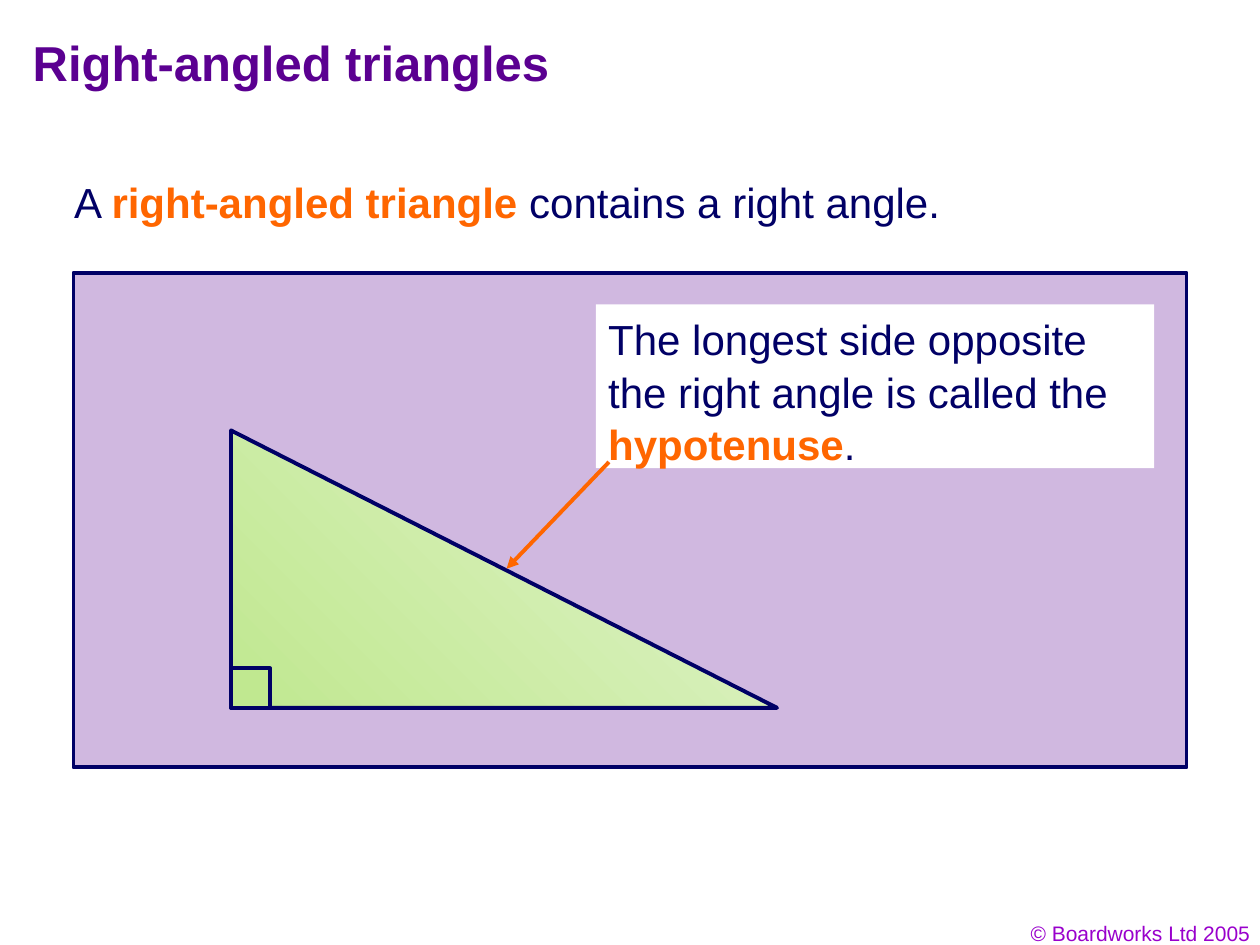
"""Build a slide that names the hypotenuse of a right-angled triangle."""
from typing import NamedTuple

from lxml.etree import SubElement
from pptx import Presentation
from pptx.dml.color import RGBColor as RGB
from pptx.enum.shapes import MSO_CONNECTOR as CONN, MSO_SHAPE as SHAPE
from pptx.enum.text import MSO_ANCHOR as ANCHOR, PP_ALIGN as ALIGN
from pptx.oxml.ns import qn
from pptx.util import Pt

COLORS = {
    "title": "5B0091",
    "footer": "9900CC",
    "text": "010066",
    "outline": "000066",
    "accent": "FF6600",
    "panel": "D0B8E0",
    "light_green": "E2F3CD",
    "green": "C0E890",
    "white": "FFFFFF",
}
LINE_WIDTH = 2.25


class Box(NamedTuple):
    left: float
    top: float
    width: float
    height: float

    def lengths(self) -> list:
        return [Pt(v) for v in self]


class Run(NamedTuple):
    text: str
    key: bool = False


def rgb(name: str) -> RGB:
    return RGB.from_string(COLORS[name])


def write(sp, *runs: Run, size: float = 24, color: str = "text", bold: bool = False,
          align=ALIGN.LEFT, anchor=ANCHOR.TOP, wrap: bool = True, spacing: float = 1.05) -> None:
    tf = sp.text_frame
    tf.word_wrap = wrap
    tf.vertical_anchor = anchor
    p = tf.paragraphs[0]
    p.alignment = align
    p.line_spacing = spacing
    for run in runs:
        r = p.add_run()
        r.text = run.text
        r.font.name = "Arial"
        r.font.size = Pt(size)
        r.font.bold = bold or run.key
        r.font.color.rgb = rgb("accent" if run.key else color)


def add_shape(s, kind, box: Box, fill: str, outlined: bool = True):
    sp = s.shapes.add_shape(kind, *box.lengths())
    sp.shadow.inherit = False
    sp.fill.solid()
    sp.fill.fore_color.rgb = rgb(fill)
    if outlined:
        sp.line.color.rgb = rgb("outline")
        sp.line.width = Pt(LINE_WIDTH)
    else:
        sp.line.fill.background()
    return sp


def add_triangle(s, box: Box, corner: float) -> None:
    sp = add_shape(s, SHAPE.RIGHT_TRIANGLE, box, "green")
    sp.fill.gradient()
    sp.fill.gradient_angle = 225
    for stop, name in zip(sp.fill.gradient_stops, ("light_green", "green")):
        stop.color.rgb = rgb(name)
    bottom = box.top + box.height
    add_shape(s, SHAPE.RECTANGLE, Box(box.left, bottom - corner, corner, corner), "green")


def add_arrow(s, start: tuple[float, float], end: tuple[float, float]) -> None:
    line = s.shapes.add_connector(CONN.STRAIGHT, *map(Pt, start + end))
    line.line.color.rgb = rgb("accent")
    line.line.width = Pt(LINE_WIDTH)
    SubElement(line.line._get_or_add_ln(), qn("a:tailEnd"), type="triangle")
    SubElement(line._element.spPr, qn("a:effectLst"))


def main() -> None:
    prs = Presentation()
    prs.slide_width, prs.slide_height = Pt(720), Pt(540)
    s = prs.slides.add_slide(prs.slide_layouts[5])

    title = s.shapes.title
    title.left, title.top, title.width, title.height = Box(11.5, 11.5, 612, 48).lengths()
    write(title, Run("Right-angled triangles"), size=28, color="title", bold=True,
          anchor=ANCHOR.MIDDLE, spacing=1)

    footer = s.shapes.add_textbox(*Box(553.5, 522, 168, 21.6).lengths())
    write(footer, Run("© Boardworks Ltd 2005"), size=12, color="footer", align=ALIGN.RIGHT)

    add_shape(s, SHAPE.RECTANGLE, Box(42, 156, 636, 282.5), "panel")
    intro = s.shapes.add_textbox(*Box(35.3, 96, 510.5, 36).lengths())
    write(intro, Run("A "), Run("right-angled triangle", True),
          Run(" contains a right angle."), wrap=False)

    add_triangle(s, Box(132, 246, 312, 158.5), 22.5)
    callout = add_shape(s, SHAPE.RECTANGLE, Box(340.5, 174, 319, 93.6), "white", outlined=False)
    write(callout, Run("The longest side opposite the right angle is called the "),
          Run("hypotenuse", True), Run("."))
    add_arrow(s, (348, 264), (289.5, 325))

    prs.save("out.pptx")


if __name__ == "__main__":
    main()
